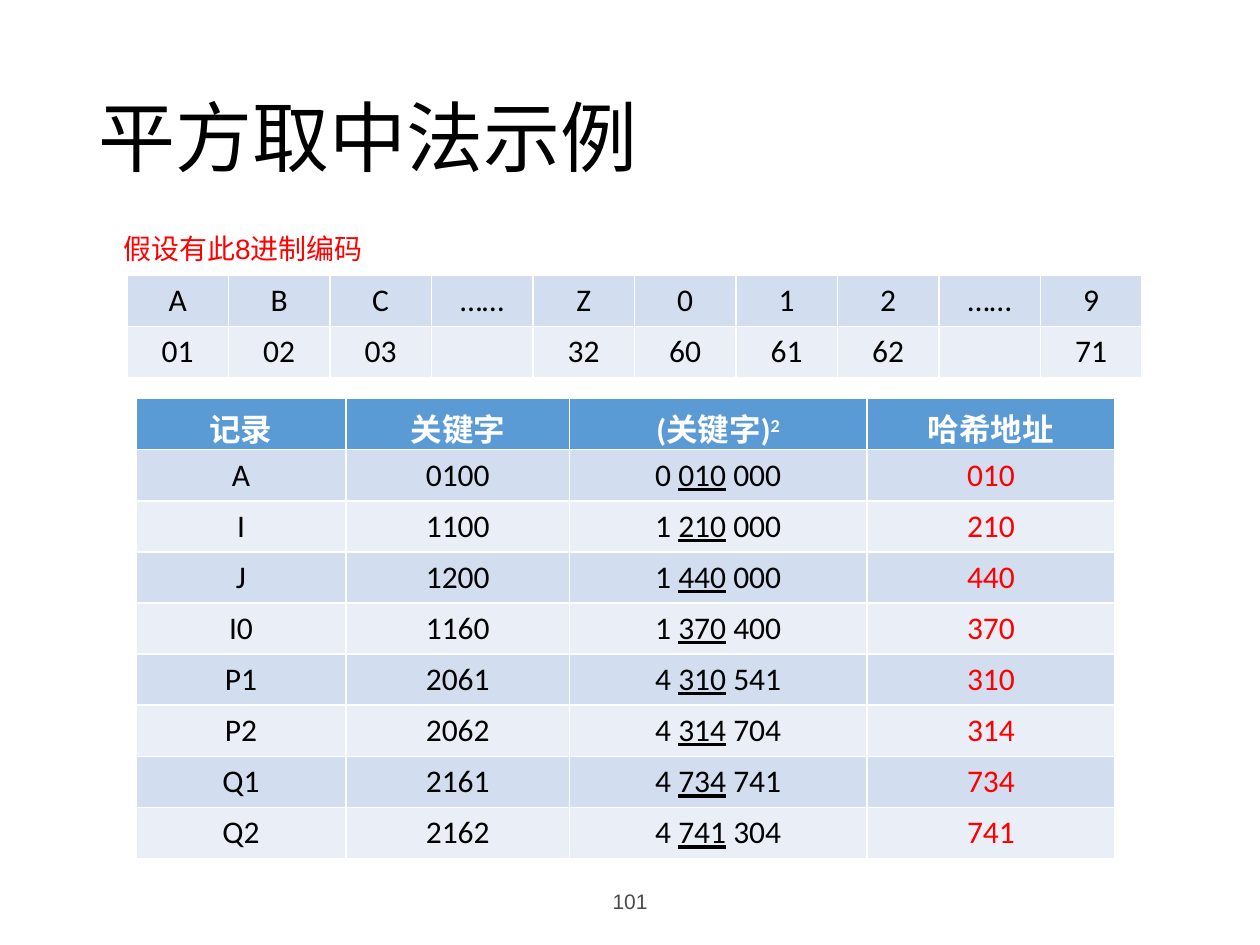
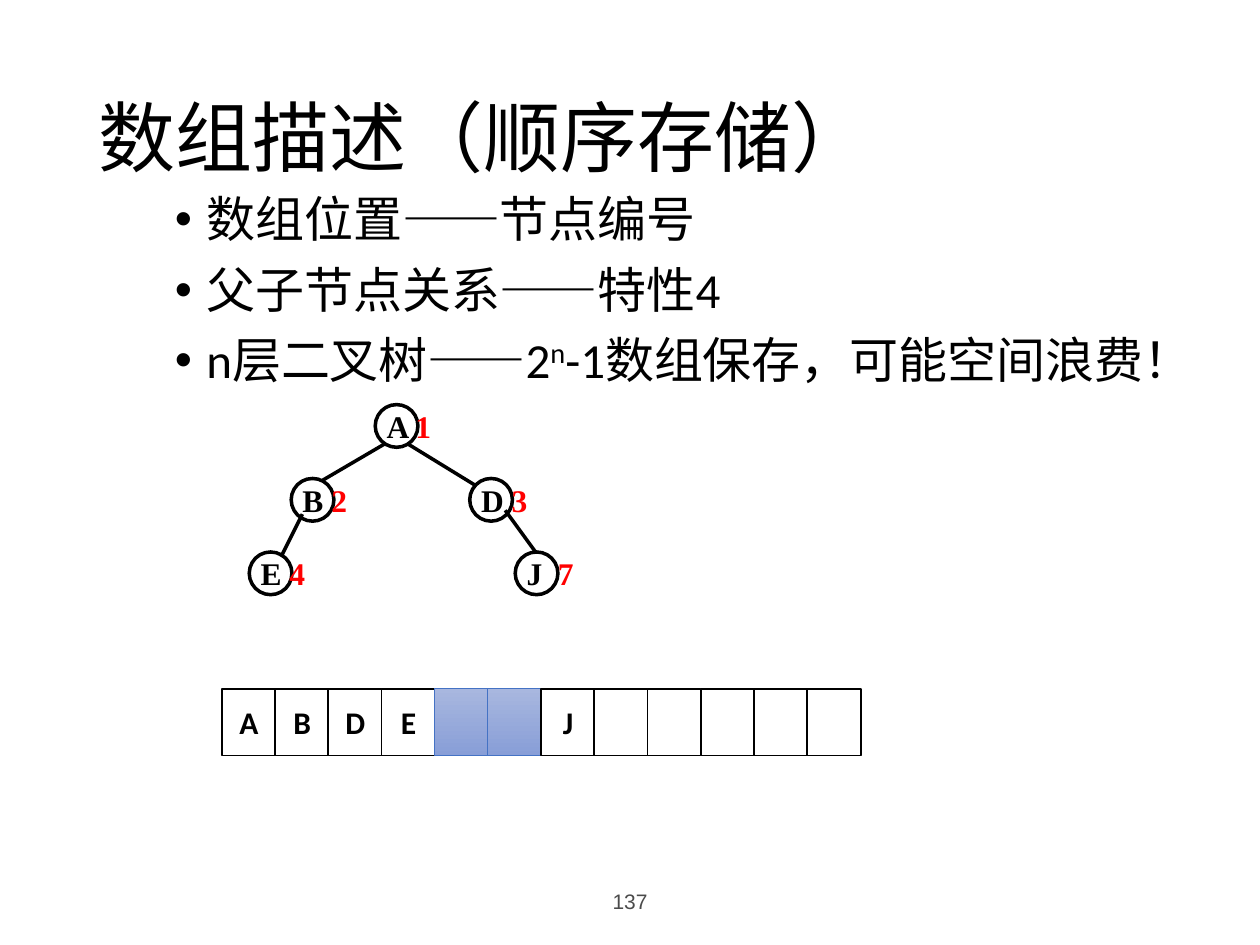
from lxml.etree import SubElement
from pptx import Presentation
from pptx.dml.color import RGBColor
from pptx.enum.shapes import MSO_CONNECTOR, MSO_SHAPE
from pptx.enum.text import MSO_ANCHOR, PP_ALIGN
from pptx.oxml.ns import qn
from pptx.util import Pt

BLACK, WHITE, RED, GREY = "000000", "FFFFFF", "FF0000", "4B4B4B"
HEAD, BANDS = "5B9BD5", ("D2DEEF", "EAEFF7")
SANS, ARIAL, SERIF = "Calibri", "Arial", "Times New Roman"
color = RGBColor.from_string


def write(para, text, size=18, hue=BLACK, font=SANS, bold=False):
    """Add one styled run to a paragraph."""
    run = para.add_run()
    run.text = text
    run.font.size = Pt(size)
    run.font.name = font
    run.font.bold = bold
    run.font.color.rgb = color(hue)
    return run


def frame(slide, left, top, width, height, anchor=MSO_ANCHOR.TOP):
    """Add a wrapping text box and return its text frame."""
    box = slide.shapes.add_textbox(Pt(left), Pt(top), Pt(width), Pt(height))
    box.text_frame.word_wrap = True
    box.text_frame.vertical_anchor = anchor
    return box.text_frame


deck = Presentation()
deck.slide_width, deck.slide_height = Pt(720), Pt(540)

# Shared title and page number
pages = []
for title, number in (("平方取中法示例", "101"), ("数组描述（顺序存储）", "137")):
    page = deck.slides.add_slide(deck.slide_layouts[6])
    para = frame(page, 49.5, 28.75, 621, 104.4, MSO_ANCHOR.MIDDLE).paragraphs[0]
    para.line_spacing = 0.9
    write(para, title, 44)
    para = frame(page, 238.5, 500.5, 243, 28.75, MSO_ANCHOR.MIDDLE).paragraphs[0]
    para.alignment = PP_ALIGN.CENTER
    write(para, number, 12, GREY, ARIAL)
    pages.append(page)
hash_page, tree_page = pages

# Slide 1: note above the code table
note = frame(hash_page, 63.4, 129, 508, 26.6)
write(note.paragraphs[0], "假设有此8进制编码", 16, RED, ARIAL)

# Slide 1: tables of codes and of hash addresses
codes = [
    ["A", "B", "C", "……", "Z", "0", "1", "2", "……", "9"],
    ["01", "02", "03", "", "32", "60", "61", "62", "", "71"],
]
keys = [
    ["记录", "关键字", "(关键字)", "哈希地址"],
    ["A", "0100", "0 010 000", "010"],
    ["I", "1100", "1 210 000", "210"],
    ["J", "1200", "1 440 000", "440"],
    ["I0", "1160", "1 370 400", "370"],
    ["P1", "2061", "4 310 541", "310"],
    ["P2", "2062", "4 314 704", "314"],
    ["Q1", "2161", "4 734 741", "734"],
    ["Q2", "2162", "4 741 304", "741"],
]
ROW = 29.2
for rows, left, top, widths, headed in (
    (codes, 72.5, 157.3, [58] * 10, False),
    (keys, 77.6, 227.8, [120.2, 127.6, 170, 141.8], True),
):
    table = hash_page.shapes.add_table(
        len(rows), len(widths), Pt(left), Pt(top),
        Pt(sum(widths)), Pt(ROW * len(rows))).table
    table.first_row = headed
    for col, width in zip(table.columns, widths):
        col.width = Pt(width)
    for r, row in enumerate(rows):
        table.rows[r].height = Pt(ROW)
        head = headed and r == 0
        for c, text in enumerate(row):
            cell = table.cell(r, c)
            cell.vertical_anchor = MSO_ANCHOR.MIDDLE
            cell.fill.solid()
            cell.fill.fore_color.rgb = color(HEAD if head else BANDS[(r - headed) % 2])
            para = cell.text_frame.paragraphs[0]
            para.alignment = PP_ALIGN.CENTER
            if head:
                write(para, text, hue=WHITE, bold=True)
                if c == 2:
                    power = write(para, "2", hue=WHITE, bold=True)
                    power._r.get_or_add_rPr().set("baseline", "30000")
            elif headed and c == 2:
                first, mid, last = text.split()
                write(para, first + " ")
                write(para, mid).font.underline = True
                write(para, " " + last)
            elif text:
                write(para, text, hue=RED if headed and c == 3 else BLACK)

# Slide 2: bullets, with raised parts marked
body = frame(tree_page, 92.9, 108, 612, 356.4)
bullets = [
    [("数组位置——节点编号", False)],
    [("父子节点关系——特性4", False)],
    [("n层二叉树——2", False), ("n", True), ("-1数组保存，可能空间浪费！", False)],
]
for i, parts in enumerate(bullets):
    para = body.add_paragraph() if i else body.paragraphs[0]
    para.line_spacing = 0.9
    para.space_before = Pt(10)
    props = para._p.get_or_add_pPr()
    props.set("marL", str(Pt(18)))
    props.set("indent", str(Pt(-18)))
    SubElement(props, qn("a:buFont")).set("typeface", ARIAL)
    SubElement(props, qn("a:buChar")).set("char", "•")
    for text, raised in parts:
        run = write(para, text, 28)
        if raised:
            run._r.get_or_add_rPr().set("baseline", "30000")

# Slide 2: tree nodes with their numbers
tree = tree_page.shapes.add_group_shape().shapes
for name, number, left, top in (
    ("A", "1", 214.4, 231.2), ("B", "2", 166.4, 273.4), ("D", "3", 268.4, 273.4),
    ("E", "4", 142.4, 315.4), ("J", "7", 294.4, 315.4),
):
    node = tree.add_shape(MSO_SHAPE.OVAL, Pt(left), Pt(top), Pt(24.4), Pt(24.4))
    node.shadow.inherit = False
    node.fill.background()
    node.line.color.rgb = color(BLACK)
    node.line.width = Pt(2)
    text = node.text_frame
    text.word_wrap = False
    text.vertical_anchor = MSO_ANCHOR.MIDDLE
    text.margin_left = Pt(2.9)
    para = text.paragraphs[0]
    para.alignment = PP_ALIGN.LEFT
    run = write(para, name + " ", 18, BLACK, SERIF, True)
    if name == "J":
        run._r.get_or_add_rPr().set("spc", "225")
    write(para, number, 18, RED, SERIF, True)

# Slide 2: tree branches
for ends in (
    (220.3, 253.4, 184.3, 274.5), (232.6, 253.4, 271.4, 277.2),
    (172.8, 293.8, 160.6, 318.2), (288.7, 291.6, 306, 315.4),
):
    branch = tree.add_connector(MSO_CONNECTOR.STRAIGHT, *map(Pt, ends))
    branch.line.color.rgb = color(BLACK)
    branch.line.width = Pt(2)
    SubElement(branch._element.spPr, qn("a:effectLst"))

# Slide 2: array, where "-" is an unused place
array = tree_page.shapes.add_group_shape().shapes
for i, mark in enumerate(["A", "B", "D", "E", "-", "-", "J"] + [""] * 5):
    slot = array.add_shape(
        MSO_SHAPE.RECTANGLE, Pt(126.8 + 30.4 * i), Pt(393.6), Pt(30.8), Pt(38.2))
    slot.shadow.inherit = False
    if mark == "-":
        slot.fill.gradient()
        slot.fill.gradient_angle = 270
        for stop, hue in zip(slot.fill.gradient_stops, ("A8B7DF", "889ED7")):
            stop.color.rgb = color(hue)
        slot.line.color.rgb = color("4472C4")
        slot.line.width = Pt(0.5)
        continue
    slot.fill.solid()
    slot.fill.fore_color.rgb = color(WHITE)
    slot.line.color.rgb = color(BLACK)
    slot.line.width = Pt(1)
    if mark:
        slot.text_frame.vertical_anchor = MSO_ANCHOR.MIDDLE
        para = slot.text_frame.paragraphs[0]
        para.alignment = PP_ALIGN.CENTER
        write(para, mark, bold=True)

deck.save("out.pptx")
